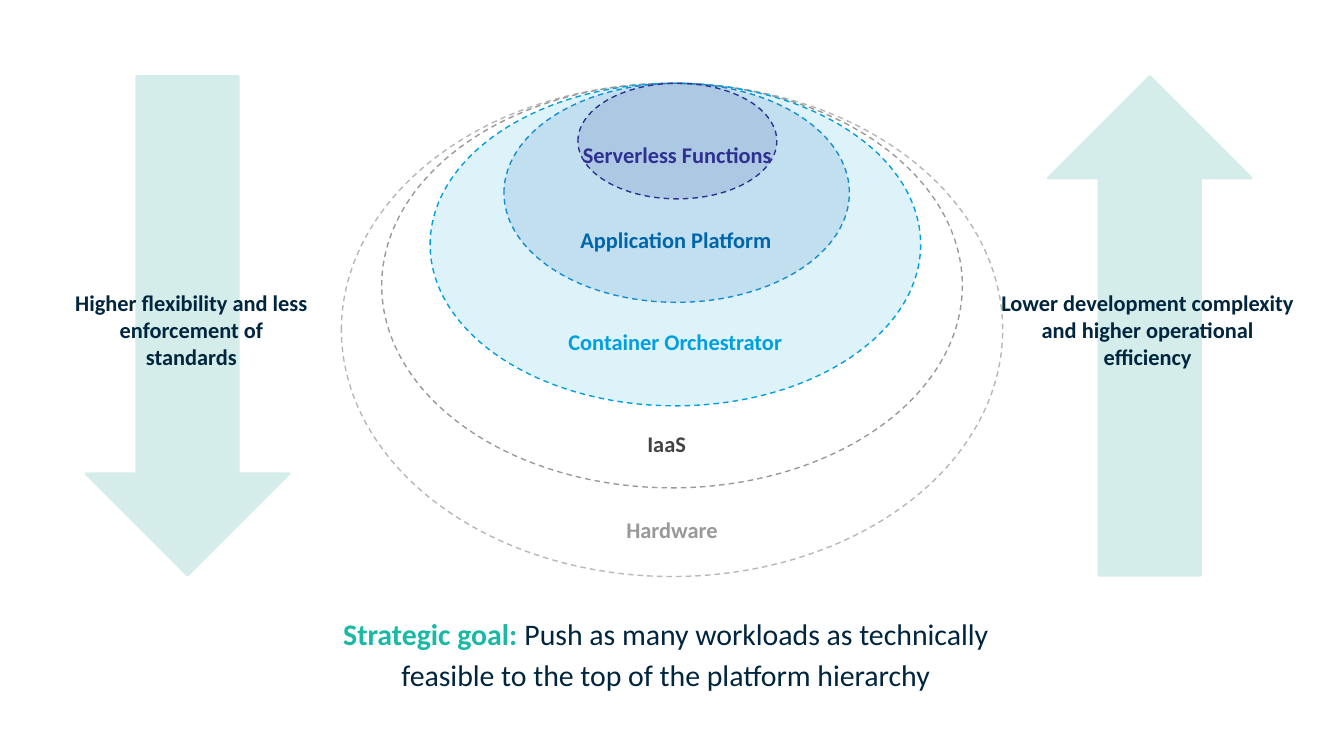
from lxml.etree import SubElement
from pptx import Presentation
from pptx.dml.color import RGBColor as RGB
from pptx.enum.dml import MSO_LINE as Dash
from pptx.enum.shapes import MSO_SHAPE as Shape
from pptx.enum.text import MSO_ANCHOR as Anchor, MSO_AUTO_SIZE as Fit, PP_ALIGN as Align
from pptx.oxml.ns import qn
from pptx.util import Pt

PX = 9144  # 100 px to the inch
FONT = "Calibri"

WHITE = RGB(0xFF, 0xFF, 0xFF)
MINT = RGB(0xD5, 0xED, 0xEA)
TEAL = RGB(0x1A, 0xB9, 0xA5)
NAVY = RGB(0x00, 0x25, 0x3E)
SILVER = RGB(0xB7, 0xB7, 0xB7)
GREY = RGB(0x99, 0x99, 0x99)
DARK = RGB(0x43, 0x43, 0x43)
SKY = RGB(0x00, 0x9F, 0xDF)
AZURE = RGB(0x12, 0x8D, 0xD3)
BLUE = RGB(0x00, 0x66, 0xAB)
INDIGO = RGB(0x2E, 0x30, 0x92)

# name, ring (left, width, height), label (left, top, width, height),
# line, fill, opacity in percent, label colour; offsets are from the box
RINGS = [
    ("Hardware", (0, 492, 367), (179, 319, 134, 33), SILVER, WHITE, 100, GREY),
    ("IaaS", (30, 432, 301), (166, 251, 152, 37), GREY, None, 0, DARK),
    ("Container Orchestrator", (66, 365, 240), (140, 178, 217, 34), SKY, SKY, 13, SKY),
    ("Application Platform", (121, 257, 163), (158, 103, 182, 33), AZURE, BLUE, 13, BLUE),
    ("Serverless Functions", (176, 148, 86), (168, 21, 164, 52), INDIGO, INDIGO, 13, INDIGO),
]


def emu(*box):
    return [n * PX for n in box]


def set_text(shape, runs, anchor, inset=10, size=12, space=None):
    """Fill a shape with one centred paragraph of (text, colour, bold) runs."""
    frame = shape.text_frame
    style = dict(word_wrap=True, auto_size=Fit.NONE, vertical_anchor=anchor)
    for side in ("left", "top", "right", "bottom"):
        style["margin_" + side] = inset * PX
    for key, value in style.items():
        setattr(frame, key, value)
    para = frame.paragraphs[0]
    para.alignment = Align.CENTER
    if space:
        para.line_spacing = space
    for text, color, bold in runs:
        run = para.add_run()
        run.text = text
        for key, value in dict(name=FONT, size=Pt(size), bold=bold).items():
            setattr(run.font, key, value)
        run.font.color.rgb = color


def add_label(shapes, box, text, color, anchor):
    set_text(shapes.add_textbox(*emu(*box)), [(text, color, True)], anchor)


def add_form(shapes, kind, box, line, width, fill=None, alpha=100):
    form = shapes.add_shape(kind, *emu(*box))
    form.shadow.inherit = False
    form.line.color.rgb = line
    form.line.width = Pt(width)
    if fill is None:
        form.fill.background()
        return form
    form.fill.solid()
    form.fill.fore_color.rgb = fill
    if alpha < 100:
        color = form.fill._xPr.find(qn("a:solidFill"))[0]
        SubElement(color, qn("a:alpha"), val=str(alpha * 1000))
    return form


def add_rings(slide, left, top):
    """Nested ellipses that touch at the top, each with its label."""
    for name, (dx, wide, high), (tx, ty, tw, th), line, fill, alpha, color in RINGS:
        group = slide.shapes.add_group_shape().shapes
        ring = add_form(group, Shape.OVAL, (left + dx, top, wide, high),
                        line, 0.75, fill, alpha)
        ring.line.dash_style = Dash.DASH
        add_label(group, (left + tx, top + ty, tw, th), name, color, Anchor.BOTTOM)


def add_arrow(slide, kind, box, text, shift, wide):
    """Tall arrow with a caption half way down, shifted from its left edge."""
    left, top, _, high = box
    tall = 102
    add_form(slide.shapes, kind, box, MINT, 1.5, MINT)
    spot = (left + shift, top + (high - tall) // 2 + 3, wide, tall)
    add_label(slide.shapes, spot, text, NAVY, Anchor.MIDDLE)


def add_goal(slide, box):
    title = slide.shapes.title
    title.left, title.top, title.width, title.height = emu(*box)
    set_text(title, [
        ("Strategic goal: ", TEAL, True),
        ("Push as many workloads as technically feasible "
         "to the top of the platform hierarchy", NAVY, False),
    ], Anchor.TOP, inset=5, size=16, space=1.15)


def main():
    deck = Presentation()
    deck.slide_width = 1000 * PX
    deck.slide_height = deck.slide_width * 9 // 16
    slide = deck.slides.add_slide(deck.slide_layouts[5])
    add_goal(slide, (219, 449, 553, 26))
    add_rings(slide, 254, 62)
    add_arrow(slide, Shape.DOWN_ARROW, (64, 57, 151, 371),
              "Higher flexibility and less enforcement of standards", -18, 193)
    add_arrow(slide, Shape.UP_ARROW, (780, 57, 151, 371),
              "Lower development complexity and higher operational efficiency", -49, 246)
    deck.save("out.pptx")


if __name__ == "__main__":
    main()
